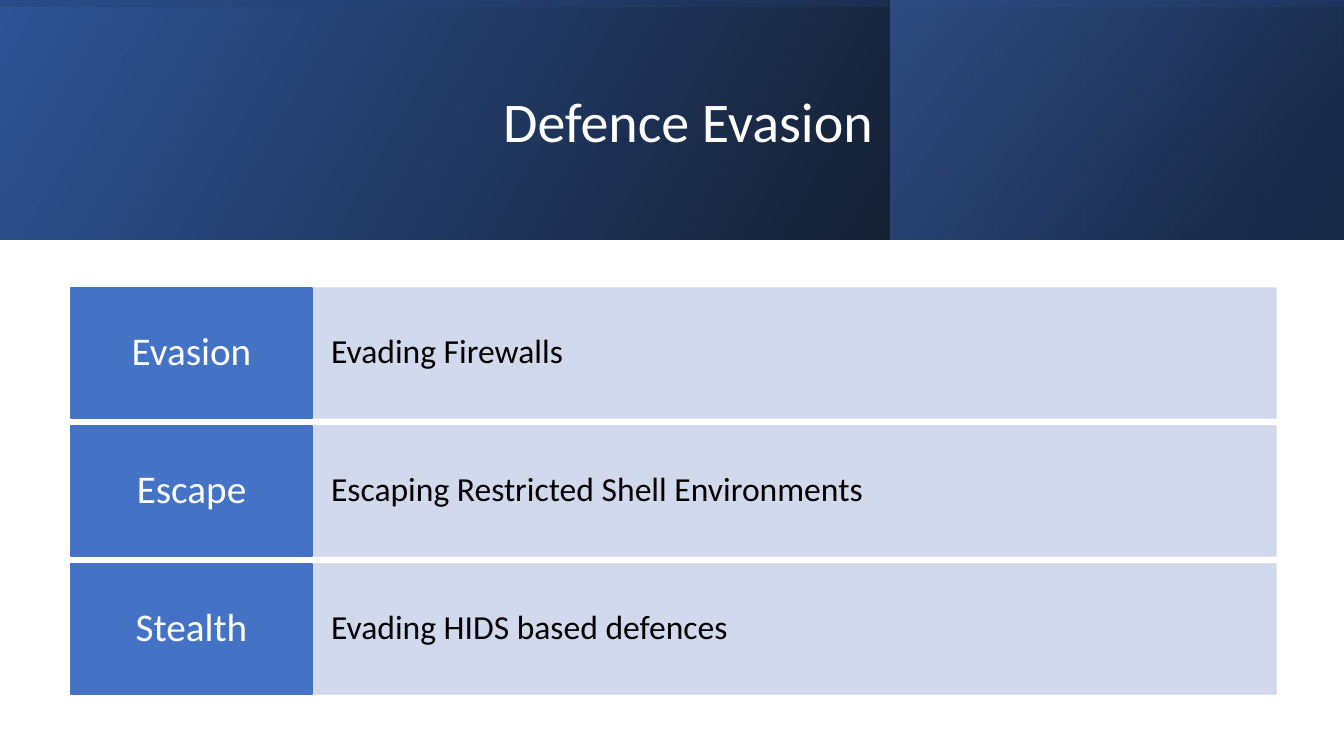
from dataclasses import dataclass

from lxml.etree import SubElement
from pptx import Presentation
from pptx.dml.color import RGBColor
from pptx.enum.shapes import MSO_SHAPE as Shape
from pptx.enum.text import MSO_ANCHOR as Anchor, PP_ALIGN as Align
from pptx.oxml import parse_xml
from pptx.oxml.ns import nsdecls, qn
from pptx.util import Emu, Pt

SLIDE_W, SLIDE_H = 1344, 756
EMU_PER_PX = 12192000 / SLIDE_W
HEADER_H = 240

FONT = "Calibri"
WHITE = RGBColor(0xFF, 0xFF, 0xFF)
BLACK = RGBColor(0x00, 0x00, 0x00)
BLUE = RGBColor(0x44, 0x72, 0xC4)
DEEP_BLUE = RGBColor(0x2F, 0x55, 0x97)
NAVY = RGBColor(0x20, 0x38, 0x64)
PALE_BLUE = RGBColor(0xCF, 0xD5, 0xEA)


@dataclass(frozen=True)
class Box:
    left: int
    top: int
    width: int
    height: int

    def emu(self) -> list[Emu]:
        return [px(n) for n in (self.left, self.top, self.width, self.height)]


@dataclass(frozen=True)
class Stop:
    position: int
    color: RGBColor
    opacity: int


@dataclass(frozen=True)
class Band:
    box: Box
    stops: tuple[Stop, Stop]
    angle: int
    rotation: int = 0


@dataclass(frozen=True)
class CellStyle:
    left: int
    width: int
    fill: RGBColor
    opacity: int
    text_color: RGBColor
    size: int
    align: Align
    margin_x: int
    margin_y: int


@dataclass(frozen=True)
class Topic:
    label: str
    detail: str


BANDS = (
    Band(Box(0, 0, SLIDE_W, HEADER_H),
         (Stop(0, BLACK, 96), Stop(100, DEEP_BLUE, 100)), 330),
    Band(Box(891, 0, 452, HEADER_H),
         (Stop(19, NAVY, 68), Stop(100, BLUE, 48)), 320),
    Band(Box((SLIDE_W - HEADER_H) // 2, (HEADER_H - SLIDE_W) // 2, HEADER_H, SLIDE_W),
         (Stop(23, DEEP_BLUE, 16), Stop(99, BLACK, 45)), 350, rotation=270),
)

DETAIL = CellStyle(312, 964, PALE_BLUE, 90, BLACK, 24, Align.LEFT, 19, 33)
LABEL = CellStyle(71, 241, BLUE, 100, WHITE, 28, Align.CENTER, 13, 13)
ROWS_TOP, ROW_H, ROW_PITCH = 288, 130, 138
TOPICS = (
    Topic("Evasion", "Evading Firewalls"),
    Topic("Escape", "Escaping Restricted Shell Environments"),
    Topic("Stealth", "Evading HIDS based defences"),
)


def px(length: int) -> Emu:
    return Emu(round(length * EMU_PER_PX))


def add_rectangle(slide, box: Box):
    rectangle = slide.shapes.add_shape(Shape.RECTANGLE, *box.emu())
    rectangle.shadow.inherit = False
    return rectangle


def write(shape, text: str, size: int, color: RGBColor, align: Align) -> None:
    frame = shape.text_frame
    frame.word_wrap = True
    frame.vertical_anchor = Anchor.MIDDLE
    frame.text = text
    paragraph = frame.paragraphs[0]
    paragraph.alignment = align
    paragraph.line_spacing = 0.9
    font = paragraph.runs[0].font
    font.name, font.size, font.color.rgb = FONT, Pt(size), color


def add_band(slide, band: Band) -> None:
    rectangle = add_rectangle(slide, band.box)
    rectangle.rotation = band.rotation
    rectangle.line.fill.background()
    properties = rectangle.element.spPr
    properties.find(qn("a:xfrm")).set("flipH", "1")
    stops = "".join(
        f'<a:gs pos="{stop.position * 1000}"><a:srgbClr val="{stop.color}">'
        f'<a:alpha val="{stop.opacity * 1000}"/></a:srgbClr></a:gs>'
        for stop in band.stops)
    gradient = parse_xml(
        f'<a:gradFill {nsdecls("a")} rotWithShape="1"><a:gsLst>{stops}</a:gsLst>'
        f'<a:lin ang="{band.angle * 60000}" scaled="0"/></a:gradFill>')
    properties.find(qn("a:prstGeom")).addnext(gradient)


def add_cell(slide, text: str, top: int, style: CellStyle) -> None:
    cell = add_rectangle(slide, Box(style.left, top, style.width, ROW_H))
    cell.line.width = Pt(1)
    for fill in (cell.fill, cell.line.fill):
        fill.solid()
        fill.fore_color.rgb = style.fill
    if style.opacity < 100:
        for color in cell.element.spPr.iter(qn("a:srgbClr")):
            SubElement(color, qn("a:alpha")).set("val", str(style.opacity * 1000))
    frame = cell.text_frame
    frame.margin_left = frame.margin_right = px(style.margin_x)
    frame.margin_top = frame.margin_bottom = px(style.margin_y)
    write(cell, text, style.size, style.text_color, style.align)


def main() -> None:
    deck = Presentation()
    deck.slide_width, deck.slide_height = px(SLIDE_W), px(SLIDE_H)
    slide = deck.slides.add_slide(deck.slide_layouts[6])

    # Header: layered gradients under the title
    for band in BANDS:
        add_band(slide, band)
    title = slide.shapes.add_textbox(*Box(152, 38, 1072, 173).emu())
    write(title, "Defence Evasion", 40, WHITE, Align.CENTER)

    # Topic rows: a label beside its detail
    for index, topic in enumerate(TOPICS):
        top = ROWS_TOP + index * ROW_PITCH
        add_cell(slide, topic.detail, top, DETAIL)
        add_cell(slide, topic.label, top, LABEL)

    deck.save("out.pptx")


if __name__ == "__main__":
    main()
